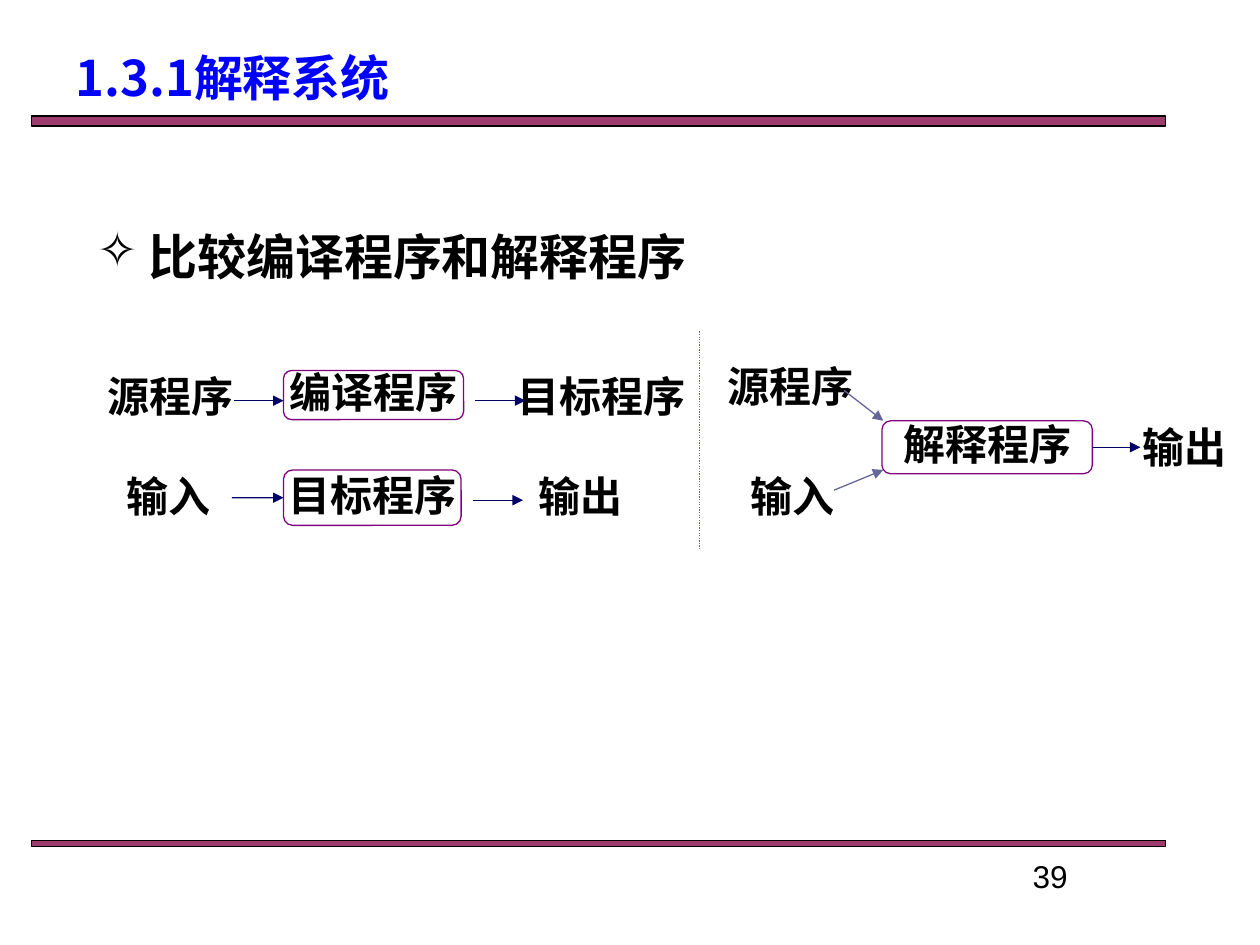
from lxml.etree import SubElement as Sub
from pptx import Presentation
from pptx.dml.color import RGBColor
from pptx.enum.dml import MSO_LINE
from pptx.enum.shapes import MSO_CONNECTOR as Link, MSO_SHAPE as Kind
from pptx.enum.text import MSO_ANCHOR as Anchor, PP_ALIGN as Align
from pptx.oxml.ns import qn
from pptx.util import Inches, Pt

HUES = {"band": "993366", "edge": "000000", "title": "0000FF", "text": "000000",
        "box": "FFFFFF", "rim": "800080", "flow": "000066", "feed": "666699"}
SANS, PLAIN = "Noto Sans CJK SC", "Arial"

TITLE = "1.3.1解释系统"
POINT = "比较编译程序和解释程序"
PAGE = "39"

TOP, LOW, MID = 39.2, 49.73, 44.53
TALL = 6.13
BANDS = [(2.5, 12.27, 90, 1.07), (2.5, 88.93, 90, 0.67)]
LABELS = [("源程序", 7.5, TOP, 12.1), ("目标程序", 40, TOP, 15.5),
          ("输入", 9, LOW, 8.8), ("输出", 41.7, LOW, 8.8),
          ("源程序", 56.7, 38.13, 12.1), ("输入", 58.5, LOW, 8.8),
          ("输出", 89.6, MID, 8.8)]
BOXES = [("编译程序", 22.5, TOP, 14.3, 5.2),
         ("目标程序", 22.5, LOW, 14.1, 5.87),
         ("解释程序", 70, MID, 16.7, 5.6)]
FLOWS = [(18.6, 42.4, 22.5, 42.4), (37.7, 42.4, 41.7, 42.4),
         (37.5, 52.93, 41.5, 52.93)]
FEEDS = [(67, 41.33, 70.1, 44.53), (66.2, 51.87, 70.1, 49.73)]
SPLIT = (55.5, 35.07, 55.5, 58.13)

deck = Presentation()
deck.slide_width, deck.slide_height = Inches(10), Inches(7.5)
slide = deck.slides.add_slide(deck.slide_layouts[5])
shapes = slide.shapes


def place(*shares):
    sides = (deck.slide_width, deck.slide_height) * 2
    return [int(side * share / 100) for side, share in zip(sides, shares)]


def hue(name):
    return RGBColor.from_string(HUES[name])


def write(shape, text, size, name="text", align=Align.CENTER, bold=True,
          face=SANS, space=None, anchor=Anchor.TOP, wrap=True):
    frame = shape.text_frame
    frame.text = text
    frame.word_wrap = wrap
    frame.vertical_anchor = anchor
    para = frame.paragraphs[0]
    para.alignment = align
    para.line_spacing = space
    for run in para.runs:
        font = run.font
        font.size, font.bold, font.name = Pt(size), bold, face
        font.color.rgb = hue(name)
        Sub(run._r.get_or_add_rPr(), qn("a:ea")).set("typeface", face)
    return para


def draw(kind, spot, fill, line):
    shape = shapes.add_shape(kind, *place(*spot))
    shape.shadow.inherit = False
    shape.fill.solid()
    shape.fill.fore_color.rgb = hue(fill)
    shape.line.color.rgb = hue(line)
    shape.line.width = Pt(0.75)
    return shape


def link(ends, name, arrow=True):
    line = shapes.add_connector(Link.STRAIGHT, *place(*ends))
    line.line.color.rgb = hue(name)
    line.line.width = Pt(0.75)
    if arrow:
        Sub(line.line._get_or_add_ln(), qn("a:tailEnd")).set("type", "triangle")
    Sub(line._element.spPr, qn("a:effectLst"))
    return line


for spot in BANDS:
    band = draw(Kind.RECTANGLE, spot, "band", "edge")
    tint = band.fill._xPr.find(qn("a:solidFill"))[0]
    Sub(tint, qn("a:alpha")).set("val", "96000")

title = shapes.title
title.left, title.top, title.width, title.height = place(5, 4.4, 90, 4.93)
write(title, TITLE, 28, "title", Align.LEFT)

point = shapes.add_textbox(*place(6.7, 23.33, 58.3, 7.6))
para = write(point, POINT, 28, align=Align.LEFT)
props = para._p.get_or_add_pPr()
props.set("marL", str(Inches(0.41)))
props.set("indent", str(-Inches(0.41)))
Sub(props, qn("a:buChar")).set("char", "✧")

for text, x, y, wide in LABELS:
    label = shapes.add_textbox(*place(x, y, wide, TALL))
    write(label, text, 24, space=0.9, wrap=False)

boxes = []
for text, *spot in BOXES:
    box = draw(Kind.ROUNDED_RECTANGLE, spot, "box", "rim")
    write(box, text, 24, space=0.9, anchor=Anchor.MIDDLE, wrap=False)
    boxes.append(box)

for ends in FLOWS:
    link(ends, "flow")
for ends in FEEDS:
    link(ends, "feed")
link((18.4, 52.67, 22.5, 52.67), "flow").end_connect(boxes[1], 1)
link((86.7, 47.33, 90.5, 47.33), "flow").begin_connect(boxes[2], 3)
link(SPLIT, "feed", False).line.dash_style = MSO_LINE.ROUND_DOT

page = shapes.add_textbox(*place(71.7, 90, 23.3, 5.6))
write(page, PAGE, 18, bold=False, face=PLAIN)

deck.save("out.pptx")
